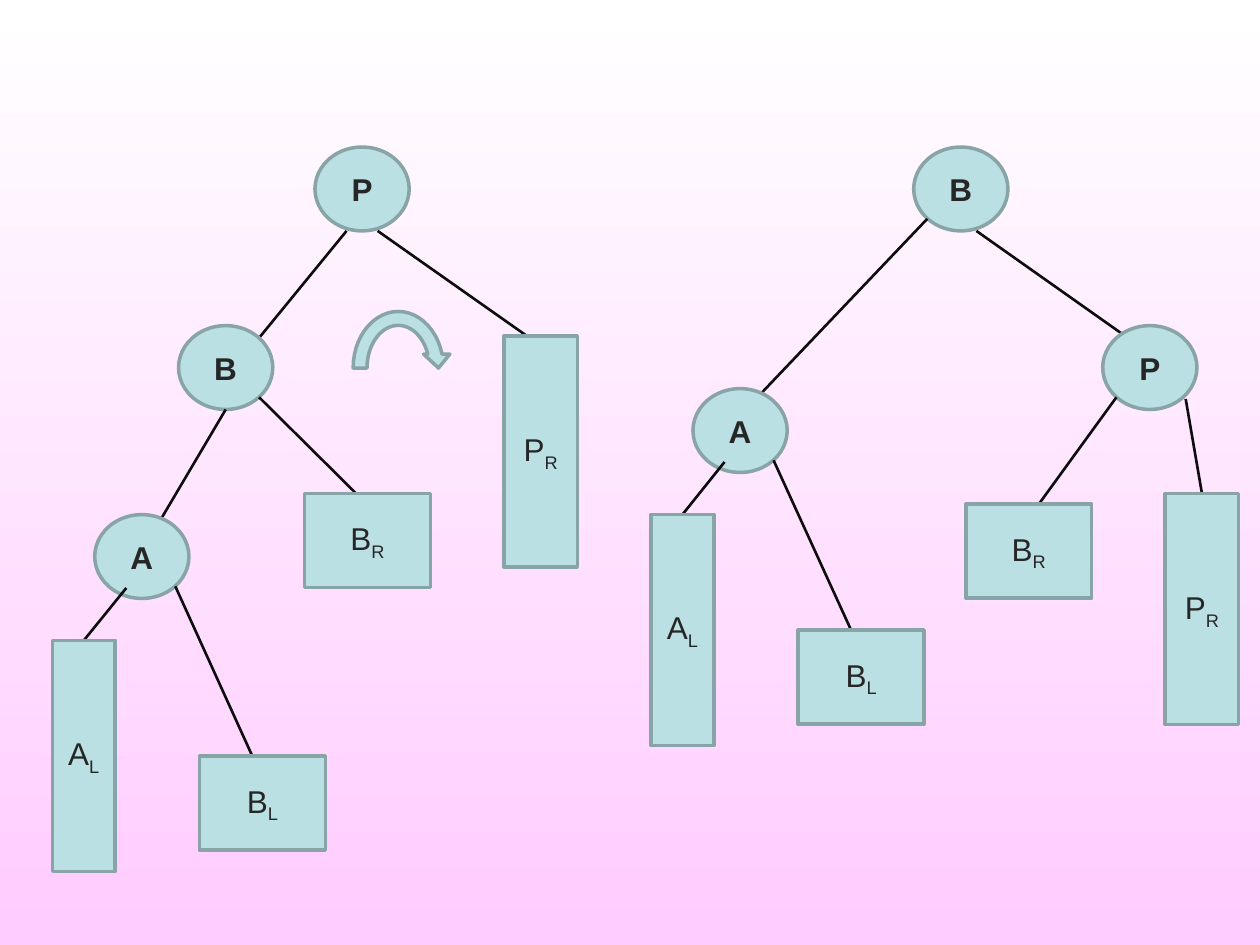
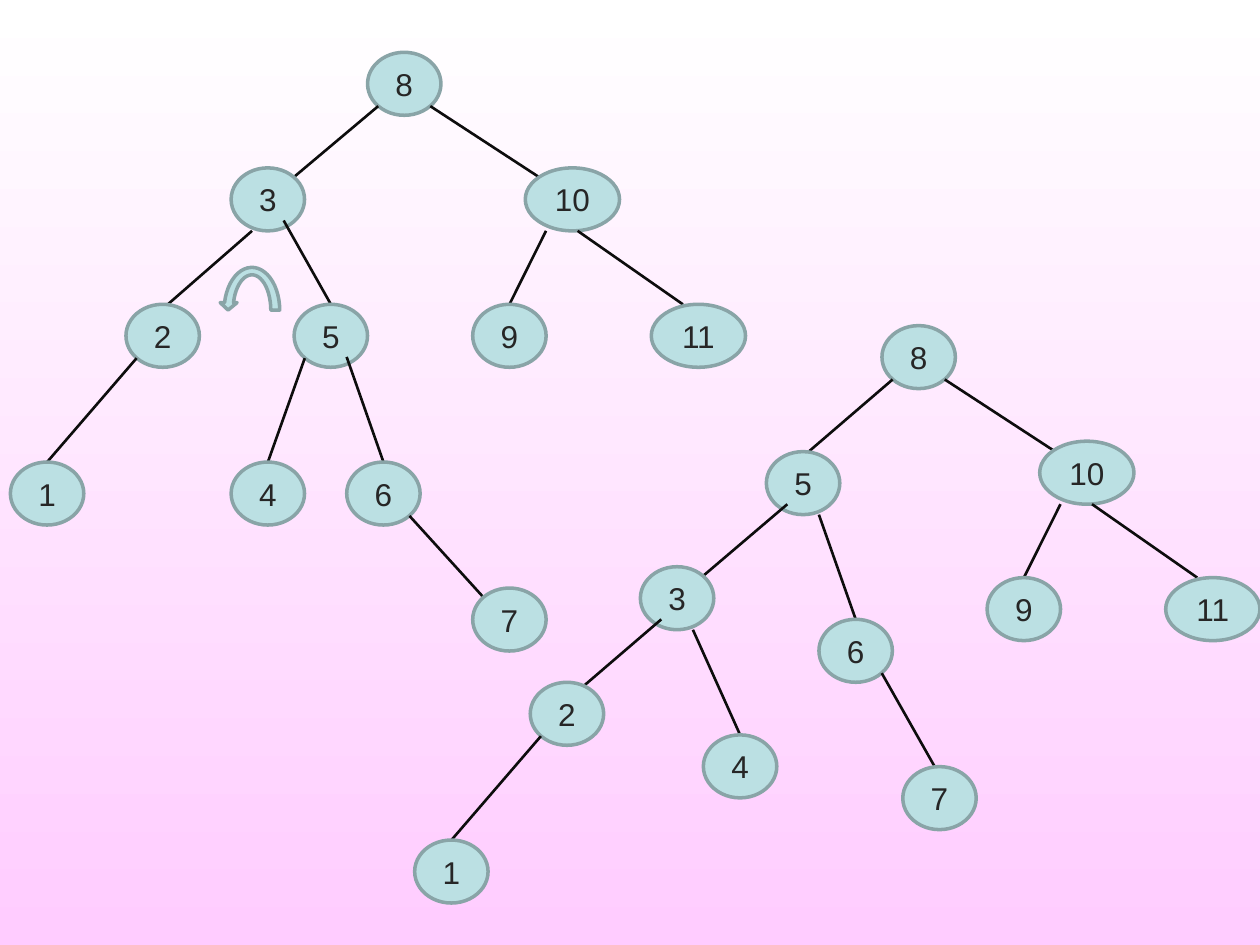
"""Build two slides of binary search trees before and after a rotation."""
from dataclasses import dataclass
from math import asin, cos, pi, sin

from lxml.etree import SubElement
from pptx import Presentation
from pptx.dml.color import RGBColor
from pptx.enum.shapes import MSO_CONNECTOR, MSO_SHAPE
from pptx.enum.text import MSO_ANCHOR, PP_ALIGN
from pptx.oxml.ns import qn
from pptx.util import Cm, Pt


@dataclass(frozen=True)
class Theme:
    top: RGBColor = RGBColor.from_string("FFFFFF")
    bottom: RGBColor = RGBColor.from_string("FFCCFF")
    fill: RGBColor = RGBColor.from_string("BBE0E3")
    outline: RGBColor = RGBColor.from_string("89A4A7")
    edge: RGBColor = RGBColor.from_string("0D0D0D")
    ink: RGBColor = RGBColor.from_string("262626")
    font: str = "Arial"
    text_size: Pt = Pt(18)
    outline_width: Pt = Pt(2)
    edge_width: Pt = Pt(1.5)


theme = Theme()

OVAL, RECT = MSO_SHAPE.OVAL, MSO_SHAPE.RECTANGLE
KINDS = {
    "key": (OVAL, 1.9, 1.69, True),
    "narrow": (RECT, 1.27, 4.66, False),
    "tall": (RECT, 1.48, 4.66, False),
    "wide": (RECT, 2.54, 1.9, False),
    "digit": (OVAL, 1.48, 1.27, False),
    "digits": (OVAL, 1.9, 1.27, False),
}

# Anchors are fractions of a node's half width and half height.
TOP, BOTTOM = (0, -1), (0, 1)
NW, NE, SW, SE = (-0.71, -0.71), (0.71, -0.71), (-0.71, 0.71), (0.71, 0.71)

# Each node: label, kind, centre x, centre y, parent, anchor on parent, anchor on node.
letters_before = [
    ("P", "key", 7.3, 3.81, None, None, None),
    ("B", "key", 4.55, 7.41, "P", (-0.33, 1), NE),
    ("PR", "tall", 10.9, 9.1, "P", (0.33, 1), (-0.38, -1)),
    ("A", "key", 2.86, 11.22, "B", BOTTOM, (0.33, -0.75)),
    ("BR", "wide", 7.41, 10.9, "B", SE, (-0.18, -1)),
    ("AL", "narrow", 1.69, 15.24, "A", (-0.33, 0.75), TOP),
    ("BL", "wide", 5.29, 16.19, "A", SE, (-0.16, -1)),
]
letters_after = [
    ("B", "key", 19.37, 3.81, None, None, None),
    ("A", "key", 14.92, 8.68, "B", SW, (0.33, -0.75)),
    ("P", "key", 23.18, 7.41, "B", (0.33, 1), (-0.52, -0.75)),
    ("AL", "narrow", 13.76, 12.7, "A", (-0.33, 0.75), TOP),
    ("BL", "wide", 17.36, 13.65, "A", SE, (-0.16, -1)),
    ("BR", "wide", 20.74, 11.11, "P", SW, (0.16, -1)),
    ("PR", "tall", 24.23, 12.28, "P", (0.76, 0.75), TOP),
]
digits_before = [
    ("8", "digit", 8.15, 1.69, None, None, None),
    ("3", "digit", 5.4, 4.02, "8", SW, NE),
    ("10", "digits", 11.54, 4.02, "8", SE, NW),
    ("2", "digit", 3.28, 6.77, "3", (-0.43, 1), (0.14, -1)),
    ("5", "digit", 6.67, 6.77, "3", (0.43, 0.67), TOP),
    ("9", "digit", 10.27, 6.77, "10", (-0.56, 1), TOP),
    ("11", "digits", 14.08, 6.77, "10", (0.11, 1), (-0.33, -1)),
    ("1", "digit", 0.95, 9.95, "2", SW, TOP),
    ("4", "digit", 5.4, 9.95, "5", SW, TOP),
    ("6", "digit", 7.73, 9.95, "5", (0.43, 0.67), TOP),
    ("7", "digit", 10.27, 12.49, "6", SE, NW),
]
digits_after = [
    ("8", "digit", 18.52, 7.2, None, None, None),
    ("5", "digit", 16.19, 9.74, "8", SW, (0.15, -1)),
    ("10", "digits", 21.91, 9.53, "8", SE, NW),
    ("3", "digit", 13.65, 12.06, "5", (-0.43, 0.67), NE),
    ("6", "digit", 17.25, 13.12, "5", (0.43, 1), TOP),
    ("9", "digit", 20.64, 12.28, "10", (-0.56, 1), TOP),
    ("11", "digits", 24.45, 12.28, "10", (0.11, 1), (-0.33, -1)),
    ("2", "digit", 11.43, 14.39, "3", (-0.43, 0.67), (0.28, -0.71)),
    ("4", "digit", 14.92, 15.45, "3", (0.43, 1), TOP),
    ("7", "digit", 18.94, 16.09, "6", SE, (-0.13, -1)),
    ("1", "digit", 9.1, 17.57, "2", SW, TOP),
]

# Each turn: direction, centre, outer radii, inner radii, head height, head x positions.
right_turn = (1, (8.03, 7.42), (0.91, 1.14), (0.63, 0.86), 0.28, (1.04, 0.81, 0.51))
left_turn = (-1, (5.08, 6.25), (0.56, 0.86), (0.38, 0.71), 0.15, (0.64, 0.48, 0.3))

SLIDES = [
    ((letters_before, letters_after), right_turn),
    ((digits_before, digits_after), left_turn),
]


def paint(shape):
    shape.shadow.inherit = False
    shape.fill.solid()
    shape.fill.fore_color.rgb = theme.fill
    shape.line.color.rgb = theme.outline
    shape.line.width = theme.outline_width


def anchor_point(node, anchor):
    label, kind, x, y, *link = node
    shape_type, width, height, bold = KINDS[kind]
    return Cm(x + anchor[0] * width / 2), Cm(y + anchor[1] * height / 2)


deck = Presentation()
deck.slide_width, deck.slide_height = Cm(25.4), Cm(19.05)

for trees, turn in SLIDES:
    page = deck.slides.add_slide(deck.slide_layouts[6])
    backdrop = page.background.fill
    backdrop.gradient()
    backdrop.gradient_angle = 270
    for stop, color in zip(backdrop.gradient_stops, (theme.top, theme.bottom)):
        stop.color.rgb = color

    for tree in trees:
        nodes = {node[0]: node for node in tree}
        for node in tree:
            label, kind, x, y, parent, start, end = node
            shape_type, width, height, bold = KINDS[kind]

            if parent:
                edge = page.shapes.add_connector(
                    MSO_CONNECTOR.STRAIGHT,
                    *anchor_point(nodes[parent], start),
                    *anchor_point(node, end),
                )
                edge.line.color.rgb = theme.edge
                edge.line.width = theme.edge_width
                SubElement(edge._element.spPr, qn("a:effectLst"))

            box = page.shapes.add_shape(
                shape_type, *anchor_point(node, (-1, -1)), Cm(width), Cm(height)
            )
            paint(box)
            if end == TOP:
                edge.end_connect(box, 0)

            box.text_frame.vertical_anchor = MSO_ANCHOR.MIDDLE
            para = box.text_frame.paragraphs[0]
            para.alignment = PP_ALIGN.CENTER
            parts = [label] if label.isdigit() else list(label)
            for index, part in enumerate(parts):
                span = para.add_run()
                span.text = part
                span.font.name = theme.font
                span.font.size = theme.text_size
                span.font.bold = bold
                span.font.color.rgb = theme.ink
                if index:
                    span._r.get_or_add_rPr().set("baseline", "-25000")

    direction, (center_x, center_y), outer, inner, head_height, head = turn
    outline = []
    for radius_x, radius_y in (outer, inner):
        sweep = pi - asin(head_height / radius_y)
        angles = [pi - sweep * step / 24 for step in range(25)]
        outline.append([(radius_x * cos(a), radius_y * sin(a)) for a in angles])
    tip = [(head[0], head_height), (head[1], 0), (head[2], head_height)]
    points = [
        (Cm(center_x + direction * x), Cm(center_y - y))
        for x, y in outline[0] + tip + outline[1][::-1]
    ]
    builder = page.shapes.build_freeform(*points[0])
    builder.add_line_segments(points[1:], close=True)
    paint(builder.convert_to_shape())

deck.save("out.pptx")
